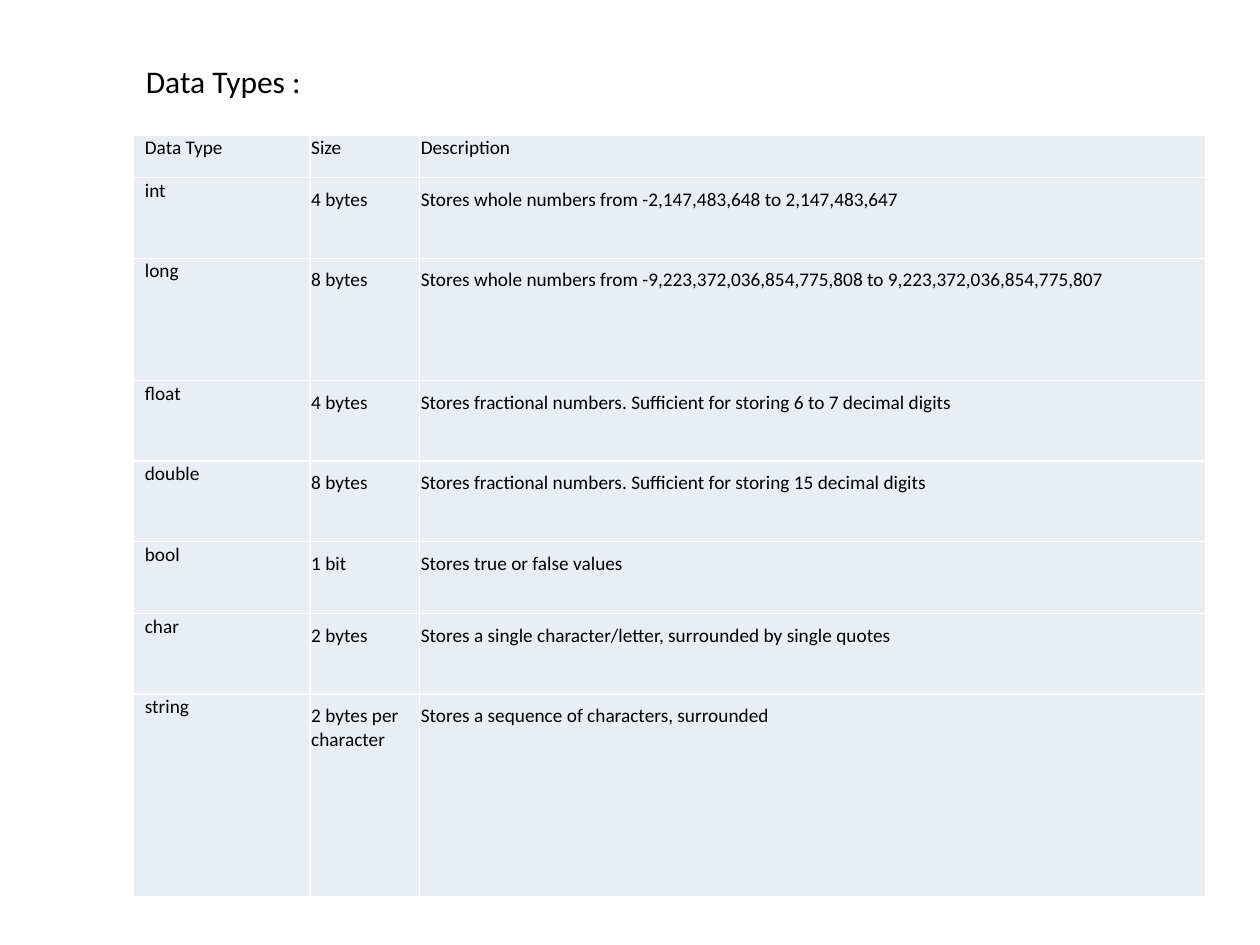
from dataclasses import dataclass

import lxml.etree
import pptx
import pptx.dml.color
import pptx.oxml.ns
import pptx.util
from pptx.util import Inches

FONT = "Calibri"
TEXT_COLOUR = "000000"
CELL_FILL = "E9EDF4"
BORDER_COLOUR = "FFFFFF"
BORDER_POINTS = 1
COLUMN_WIDTHS = (1.4, 0.87, 6.24)
TABLE_LEFT = Inches(1.06)


@dataclass(frozen=True)
class DataRow:
    height: float
    data_type: str
    size: str
    description: str


ROWS = (
    DataRow(0.34, "Data Type", "Size", "Description"),
    DataRow(0.64, "int", "4 bytes",
            "Stores whole numbers from -2,147,483,648 to 2,147,483,647"),
    DataRow(0.97, "long", "8 bytes",
            "Stores whole numbers from -9,223,372,036,854,775,808 to 9,223,372,036,854,775,807"),
    DataRow(0.64, "float", "4 bytes",
            "Stores fractional numbers. Sufficient for storing 6 to 7 decimal digits"),
    DataRow(0.64, "double", "8 bytes",
            "Stores fractional numbers. Sufficient for storing 15 decimal digits"),
    DataRow(0.57, "bool", "1 bit", "Stores true or false values"),
    DataRow(0.64, "char", "2 bytes",
            "Stores a single character/letter, surrounded by single quotes"),
    DataRow(1.61, "string", "2 bytes per character",
            "Stores a sequence of characters, surrounded"),
)


def colour(value: str) -> pptx.dml.color.RGBColor:
    return pptx.dml.color.RGBColor.from_string(value)


def write_text(text_frame, text: str, points: float) -> None:
    run = text_frame.paragraphs[0].add_run()
    run.text = text
    font_format = {"name": FONT, "size": pptx.util.Pt(points), "bold": False}
    for attribute, value in font_format.items():
        setattr(run.font, attribute, value)
    run.font.color.rgb = colour(TEXT_COLOUR)


def add_borders(cell) -> None:
    """Draw the four cell borders; they must precede the fill in the XML."""
    qualified = pptx.oxml.ns.qn
    properties = cell._tc.get_or_add_tcPr()
    for position, side in enumerate(("lnL", "lnR", "lnT", "lnB")):
        line = lxml.etree.Element(qualified(f"a:{side}"),
                                  w=str(pptx.util.Pt(BORDER_POINTS)))
        fill = lxml.etree.SubElement(line, qualified("a:solidFill"))
        lxml.etree.SubElement(fill, qualified("a:srgbClr"), val=BORDER_COLOUR)
        properties.insert(position, line)


def fill_cell(cell, text: str, is_header: bool, is_first_column: bool) -> None:
    at_top = is_header or is_first_column
    margins = {
        "margin_left": Inches(0.09 if is_first_column else 0.01),
        "margin_top": Inches(0.01 if at_top else 0.08),
        "margin_right": Inches(0.01),
        "margin_bottom": Inches(0 if at_top else 0.08),
    }
    for attribute, value in margins.items():
        setattr(cell, attribute, value)
    cell.fill.solid()
    cell.fill.fore_color.rgb = colour(CELL_FILL)
    write_text(cell.text_frame, text, 11)
    add_borders(cell)


def add_data_type_table(slide) -> None:
    table = slide.shapes.add_table(
        len(ROWS), len(COLUMN_WIDTHS), TABLE_LEFT, Inches(1.07),
        Inches(sum(COLUMN_WIDTHS)), Inches(sum(row.height for row in ROWS)),
    ).table
    table.first_row = False
    table.horz_banding = False
    for column, width in zip(table.columns, COLUMN_WIDTHS):
        column.width = Inches(width)
    for row_index, row in enumerate(ROWS):
        table.rows[row_index].height = Inches(row.height)
        texts = (row.data_type, row.size, row.description)
        for column_index, text in enumerate(texts):
            fill_cell(table.cell(row_index, column_index), text,
                      row_index == 0, column_index == 0)


def add_heading(slide) -> None:
    heading = slide.shapes.add_textbox(
        TABLE_LEFT, Inches(0.44), Inches(2.44), Inches(0.4))
    heading.text_frame.word_wrap = True
    write_text(heading.text_frame, "Data Types :", 18)


def main() -> None:
    presentation = pptx.Presentation()
    presentation.slide_width = Inches(10)
    presentation.slide_height = Inches(7.5)
    slide = presentation.slides.add_slide(presentation.slide_layouts[6])
    add_data_type_table(slide)
    add_heading(slide)
    presentation.save("out.pptx")


if __name__ == "__main__":
    main()
